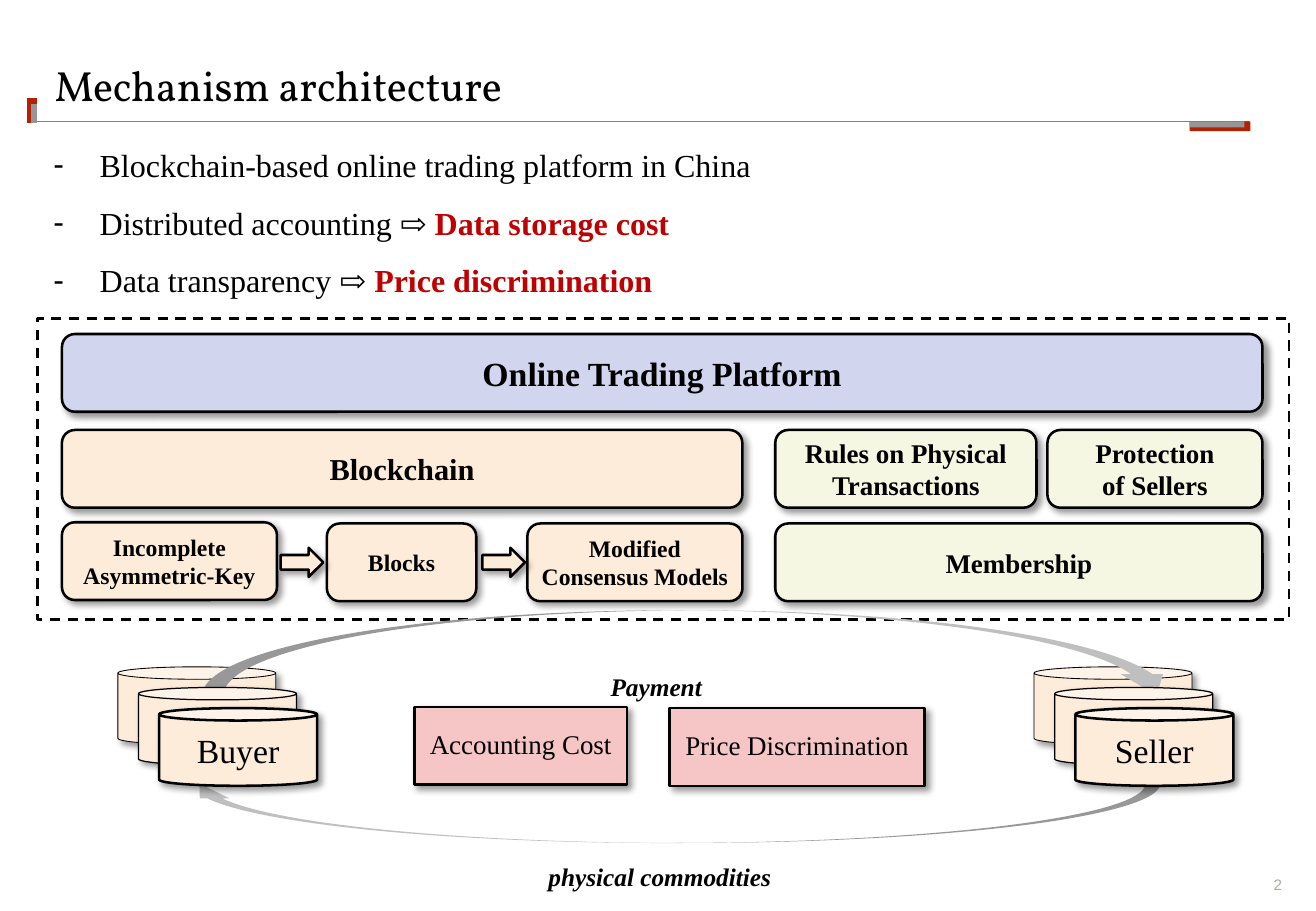
import dataclasses

import pptx
import pptx.dml.color
import pptx.enum.dml
import pptx.enum.shapes
import pptx.enum.text
import pptx.oxml.ns
import pptx.util
from lxml import etree

Inches = pptx.util.Inches
SHAPE = pptx.enum.shapes.MSO_SHAPE
ALIGN = pptx.enum.text.PP_ALIGN
ANCHOR = pptx.enum.text.MSO_ANCHOR
qn = pptx.oxml.ns.qn


@dataclasses.dataclass(frozen=True)
class Theme:
    """Colours, fonts and type sizes of the slide."""
    ink: str = "000000"
    accent: str = "C00000"
    platform: str = "D1D5ED"
    chain: str = "FEECDA"
    rules: str = "F5F7E3"
    cost: str = "F6C5C5"
    flow: str = "BFBFBF"
    brick: str = "B42100"
    grey: str = "969696"
    rule_line: str = "808080"
    number: str = "ADABA1"
    heading_font: str = "Vollkorn"
    text_font: str = "Times New Roman"
    number_font: str = "Arial"
    title: float = 25
    large: float = 20
    bullet: float = 19
    section: float = 18
    card: float = 16
    label: float = 15
    small: float = 14
    page: float = 9


THEME = Theme()


def rgb(value):
    """Turn a hex string into a colour."""
    return pptx.dml.color.RGBColor.from_string(value)


def style(run, size, color=THEME.ink, font=THEME.text_font, bold=False, italic=False):
    """Format one run."""
    run.font.size, run.font.name = pptx.util.Pt(size), font
    run.font.bold, run.font.italic = bold, italic
    run.font.color.rgb = rgb(color)


def set_insets(frame, inset):
    """Give a text frame equal insets on all sides."""
    frame.margin_left = frame.margin_right = Inches(inset)
    frame.margin_top = frame.margin_bottom = Inches(inset)


def write(frame, text, size, align=ALIGN.CENTER, spacing=1.0, **look):
    """Write text in a frame and format every paragraph alike."""
    frame.text = text
    for paragraph in frame.paragraphs:
        paragraph.alignment, paragraph.line_spacing = align, spacing
        for run in paragraph.runs:
            style(run, size, **look)


def add_drop_shadow(shape):
    """Cast a soft shadow to the lower right."""
    effects = shape._element.spPr.find(qn("a:effectLst"))
    cast = etree.SubElement(effects, qn("a:outerShdw"), blurRad="50800", dist="38100",
                            dir="2700000", algn="tl", rotWithShape="0")
    tint = etree.SubElement(cast, qn("a:srgbClr"), val=THEME.ink)
    etree.SubElement(tint, qn("a:alpha"), val="40000")


def add_block(slide, kind, box, fill=None, line=None):
    """Add a preset shape with the given fill and outline width."""
    block = slide.shapes.add_shape(kind, *map(Inches, box))
    block.shadow.inherit = False
    if fill:
        block.fill.solid()
        block.fill.fore_color.rgb = rgb(fill)
    else:
        block.fill.background()
    if line:
        block.line.color.rgb = rgb(THEME.ink)
        block.line.width = pptx.util.Pt(line)
    else:
        block.line.fill.background()
    return block


def add_card(slide, kind, box, fill, text, size, bold=True, spacing=1.0):
    """Add an outlined, shadowed card with centred text."""
    card = add_block(slide, kind, box, fill, 1.5)
    add_drop_shadow(card)
    set_insets(card.text_frame, 0.08)
    card.text_frame.vertical_anchor = ANCHOR.MIDDLE
    write(card.text_frame, text, size, bold=bold, spacing=spacing)


def add_can(slide, left, layer, name=""):
    """Add one cylinder of a stack, shifted by its layer."""
    shift = 0.17 * layer
    can = add_block(slide, SHAPE.CAN, (left + shift, 5.49 + shift, 1.3, 0.64),
                    THEME.chain, (0.5, 0.75, 1.5)[layer])
    can.adjustments[0] = 0.16
    add_drop_shadow(can)
    if name:
        can.text_frame.vertical_anchor = ANCHOR.MIDDLE
        write(can.text_frame, name, THEME.large)


def add_flow(slide, box, rotation):
    """Add a turned, mirrored curved arrow between buyer and seller."""
    flow = add_block(slide, SHAPE.CURVED_RIGHT_ARROW, box, THEME.flow)
    flow.rotation = rotation
    flow._element.spPr.find(qn("a:xfrm")).set("flipH", "1")


def add_rule(slide, start, end, color, width):
    """Add a straight line without shadow."""
    rule = slide.shapes.add_connector(pptx.enum.shapes.MSO_CONNECTOR.STRAIGHT,
                                      *map(Inches, start + end))
    rule.line.color.rgb = rgb(color)
    rule.line.width = pptx.util.Pt(width)
    etree.SubElement(rule._element.spPr, qn("a:effectLst"))


def add_label(slide, box, text, size, **look):
    """Add a free text label."""
    label = slide.shapes.add_textbox(*map(Inches, box))
    label.text_frame.word_wrap = True
    write(label.text_frame, text, size, **look)
    return label


def place(holder, box):
    """Move a placeholder and stop it from resizing its text."""
    holder.left, holder.top, holder.width, holder.height = map(Inches, box)
    holder.text_frame.auto_size = pptx.enum.text.MSO_AUTO_SIZE.NONE
    holder.text_frame.word_wrap = True


def fill_heading(slide):
    """Write the title."""
    heading = slide.shapes.title
    place(heading, (0.45, 0.4, 7.91, 0.59))
    set_insets(heading.text_frame, 0)
    heading.text_frame.vertical_anchor = ANCHOR.MIDDLE
    write(heading.text_frame, "Mechanism architecture", THEME.title, ALIGN.LEFT,
          font=THEME.heading_font)


def fill_points(slide):
    """Write the dashed list with its highlighted consequences."""
    points = (("Blockchain-based online trading platform in China", ""),
              ("Distributed accounting ⇨ ", "Data storage cost"),
              ("Data transparency ⇨ ", "Price discrimination"))
    body = slide.placeholders[1]
    place(body, (0.34, 0.99, 10.1, 1.96))
    body.text_frame.text = "\n".join(plain for plain, _ in points)
    for paragraph, (_, consequence) in zip(body.text_frame.paragraphs, points):
        paragraph.line_spacing, paragraph.space_before = 1.5, pptx.util.Pt(0)
        settings = paragraph._p.get_or_add_pPr()
        settings.set("marL", str(Inches(0.38)))
        settings.set("indent", str(Inches(-0.38)))
        etree.SubElement(settings, qn("a:buChar"), char="-")
        style(paragraph.runs[0], THEME.bullet)
        if consequence:
            highlight = paragraph.add_run()
            highlight.text = consequence
            style(highlight, THEME.bullet, THEME.accent, bold=True)


def add_frame_marks(slide):
    """Draw the heading rule, its end marks and the page number."""
    add_rule(slide, (0.3, 1), (10.28, 1), THEME.rule_line, 1)
    add_rule(slide, (0.26, 1.01), (0.26, 0.81), THEME.brick, 6)
    add_rule(slide, (0.28, 1.01), (0.28, 0.86), THEME.grey, 3)
    add_block(slide, SHAPE.RECTANGLE, (9.79, 1, 0.5, 0.08), THEME.brick)
    add_block(slide, SHAPE.RECTANGLE, (9.79, 1, 0.45, 0.05), THEME.grey)
    page = add_label(slide, (10.24, 7.21, 0.31, 0.15), "2", THEME.page, align=ALIGN.RIGHT,
                     color=THEME.number, font=THEME.number_font)
    set_insets(page.text_frame, 0)
    page.text_frame.vertical_anchor = ANCHOR.BOTTOM


def add_architecture(slide):
    """Draw the platform layers inside the dashed boundary."""
    boundary = add_block(slide, SHAPE.RECTANGLE, (0.31, 2.62, 10.3, 2.48), line=1.5)
    boundary.line.dash_style = pptx.enum.dml.MSO_LINE.DASH
    top, middle, bottom = 2.75, 3.54, 4.31
    for left, row, width, fill, text, size in (
            (0.51, top, 9.88, THEME.platform, "Online Trading Platform", THEME.large),
            (0.51, middle, 5.6, THEME.chain, "Blockchain", THEME.section),
            (6.38, middle, 2.15, THEME.rules, "Rules on Physical Transactions", THEME.card),
            (8.62, middle, 1.77, THEME.rules, "Protection\nof Sellers", THEME.card),
            (0.51, 4.3, 1.77, THEME.chain, "Incomplete Asymmetric-Key", THEME.small),
            (2.69, bottom, 1.23, THEME.chain, "Blocks", THEME.small),
            (4.34, bottom, 1.77, THEME.chain, "Modified Consensus Models", THEME.small),
            (6.38, bottom, 4.01, THEME.rules, "Membership", THEME.card)):
        add_card(slide, SHAPE.ROUNDED_RECTANGLE, (left, row, width, 0.64), fill, text, size)
    for left in (2.31, 3.97):
        step = add_block(slide, SHAPE.RIGHT_ARROW, (left, 4.51, 0.35, 0.24), THEME.chain, 1.5)
        add_drop_shadow(step)


def add_trade(slide):
    """Draw buyers, sellers and the exchange between them."""
    parties = ((0.97, "Buyer"), (8.51, "Seller"))
    add_flow(slide, (5.29, 2.68, 0.49, 8.03), 90)
    for left, _ in parties:
        add_can(slide, left, 0)
    add_flow(slide, (5.33, 1.36, 0.7, 8.03), 270)
    for left, name in parties:
        add_can(slide, left, 1)
        add_can(slide, left, 2, name)
    for box, text in (((3.41, 5.82, 1.75, 0.64), "Accounting Cost"),
                      ((5.51, 5.83, 2.1, 0.64), "Price Discrimination")):
        add_card(slide, SHAPE.RECTANGLE, box, THEME.cost, text, THEME.card, False, 0.9)
    for left, top, text in ((4.27, 7.04, "physical commodities"), (4.24, 5.48, "Payment")):
        add_label(slide, (left, top, 2.32, 0.35), text, THEME.label, bold=True, italic=True)


def main():
    """Build and save the slide."""
    deck = pptx.Presentation()
    deck.slide_width, deck.slide_height = Inches(10.83), Inches(7.5)
    slide = deck.slides.add_slide(deck.slide_layouts[1])
    fill_heading(slide)
    fill_points(slide)
    add_frame_marks(slide)
    add_architecture(slide)
    add_trade(slide)
    deck.save("out.pptx")


if __name__ == "__main__":
    main()
